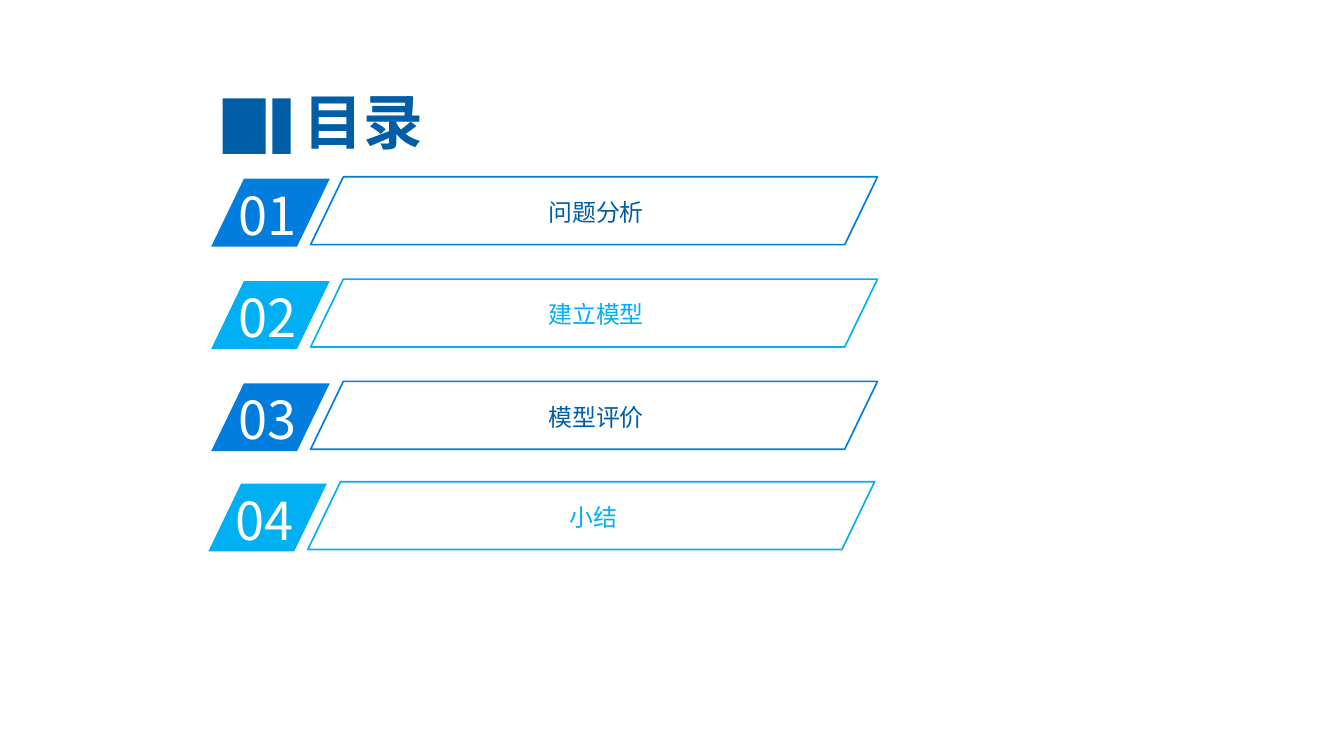
from dataclasses import dataclass

from lxml.etree import SubElement
from pptx import Presentation
from pptx.dml.color import RGBColor
from pptx.enum.shapes import MSO_SHAPE
from pptx.enum.text import MSO_ANCHOR, PP_ALIGN
from pptx.oxml.ns import qn
from pptx.util import Inches, Pt


@dataclass(frozen=True)
class Theme:
    """Colours, font and type sizes of the deck."""
    navy: str = "005EA6"
    blue: str = "007DDD"
    cyan: str = "00B0F2"
    white: str = "FFFFFF"
    font: str = "Noto Sans CJK SC"
    title_size: float = 45
    number_size: float = 39.4
    label_size: float = 18
    outline: float = 1.25
    slant: float = 0.482


class ContentsPage:
    """Draws the elements of a contents slide."""

    def __init__(self, page, theme):
        self.page = page
        self.theme = theme

    def shape(self, kind, left, top, width, height, fill=None, line=None):
        """Add a preset shape that is filled or outlined."""
        box = self.page.shapes.add_shape(
            kind, Inches(left), Inches(top), Inches(width), Inches(height))
        box.shadow.inherit = False
        if fill:
            box.fill.solid()
            box.fill.fore_color.rgb = RGBColor.from_string(fill)
        else:
            box.fill.background()
        if line:
            box.line.color.rgb = RGBColor.from_string(line)
            box.line.width = Pt(self.theme.outline)
        else:
            box.line.fill.background()
        return box

    def slanted(self, left, top, width, height, **paint):
        """Add a parallelogram with the common slant."""
        box = self.shape(MSO_SHAPE.PARALLELOGRAM, left, top, width, height, **paint)
        box.adjustments[0] = self.theme.slant

    def text(self, words, left, top, width, height, size, colour, bold=False,
             align=PP_ALIGN.CENTER, anchor=MSO_ANCHOR.MIDDLE, inset=0):
        """Add a one-line text box."""
        box = self.page.shapes.add_textbox(
            Inches(left), Inches(top), Inches(width), Inches(height))
        frame = box.text_frame
        frame.text = words
        frame.word_wrap = True
        frame.vertical_anchor = anchor
        frame.margin_top, frame.margin_bottom = Inches(inset), 0
        para = frame.paragraphs[0]
        para.alignment = align
        span = para.runs[0]
        span.font.name = self.theme.font
        span.font.size = Pt(size)
        span.font.bold = bold
        span.font.color.rgb = RGBColor.from_string(colour)
        SubElement(span.font._element, qn("a:ea"), typeface=self.theme.font)

    def heading(self, words):
        """Add the title and the two bars beside it."""
        theme = self.theme
        self.text(words, 2.07, 0.88, 3.47, 0.76, theme.title_size, theme.navy, bold=True)
        for left, width in ((2.33, 0.45), (2.85, 0.19)):
            self.shape(MSO_SHAPE.RECTANGLE, left, 1.03, width, 0.58, fill=theme.navy)

    def entry(self, number, label, left, top, colour, label_colour):
        """Add a numbered badge and its framed label."""
        theme = self.theme
        self.slanted(left, top, 1.24, 0.71, fill=colour)
        self.text(number, left + 0.19, top - 0.06, 1.18, 0.76, theme.number_size,
                  theme.white, align=PP_ALIGN.LEFT, anchor=MSO_ANCHOR.BOTTOM)
        self.text(label, left + 1.85, top + 0.04, 4.35, 0.49, theme.label_size,
                  label_colour, anchor=MSO_ANCHOR.TOP, inset=0.16)
        self.slanted(left + 1.04, top - 0.02, 5.93, 0.71, line=colour)


def main():
    """Build and save the contents slide."""
    deck = Presentation()
    deck.slide_width, deck.slide_height = Inches(14.06), Inches(7.91)
    theme = Theme()
    contents = ContentsPage(deck.slides.add_slide(deck.slide_layouts[6]), theme)
    contents.heading("目录")
    entries = (("问题分析", 2.21, 1.87), ("建立模型", 2.21, 2.94),
               ("模型评价", 2.21, 4.01), ("小结", 2.18, 5.06))
    palettes = ((theme.blue, theme.navy), (theme.cyan, theme.cyan))
    for index, (label, left, top) in enumerate(entries):
        contents.entry(f"{index + 1:02}", label, left, top, *palettes[index % 2])
    deck.save("out.pptx")


if __name__ == "__main__":
    main()
